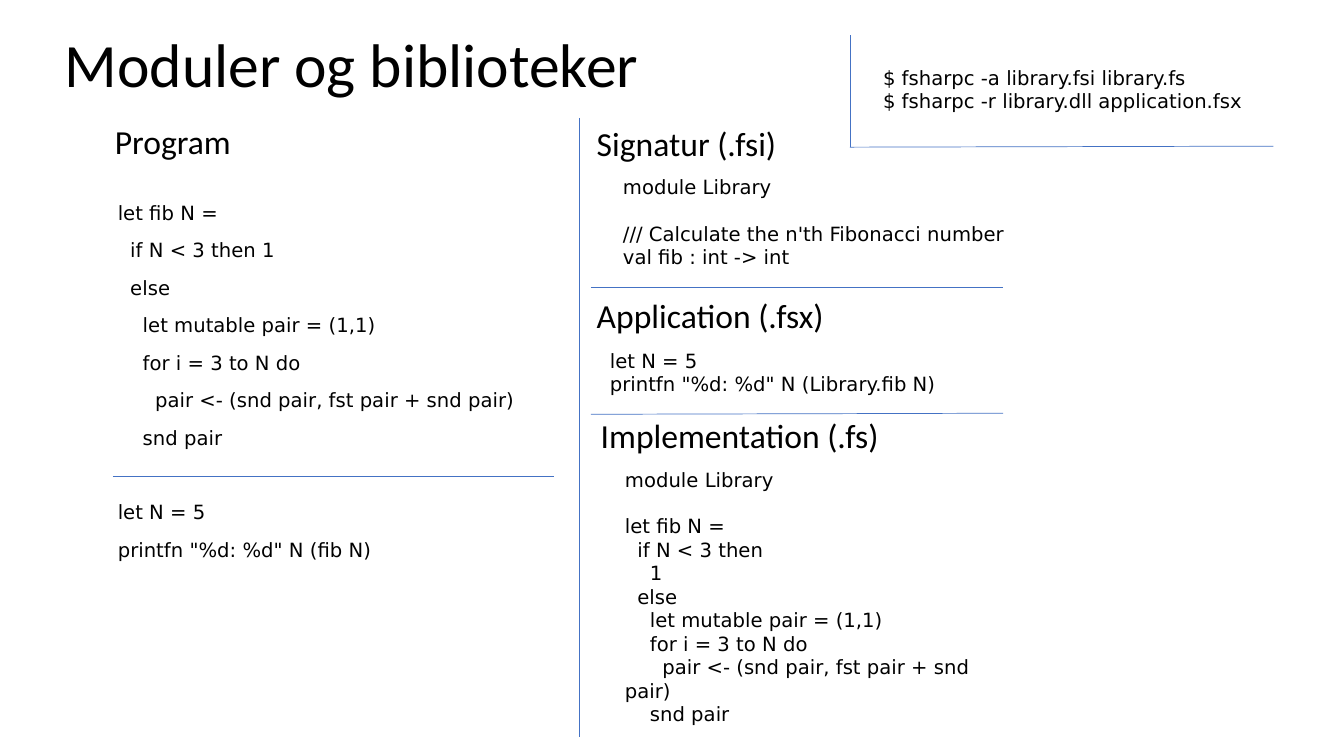
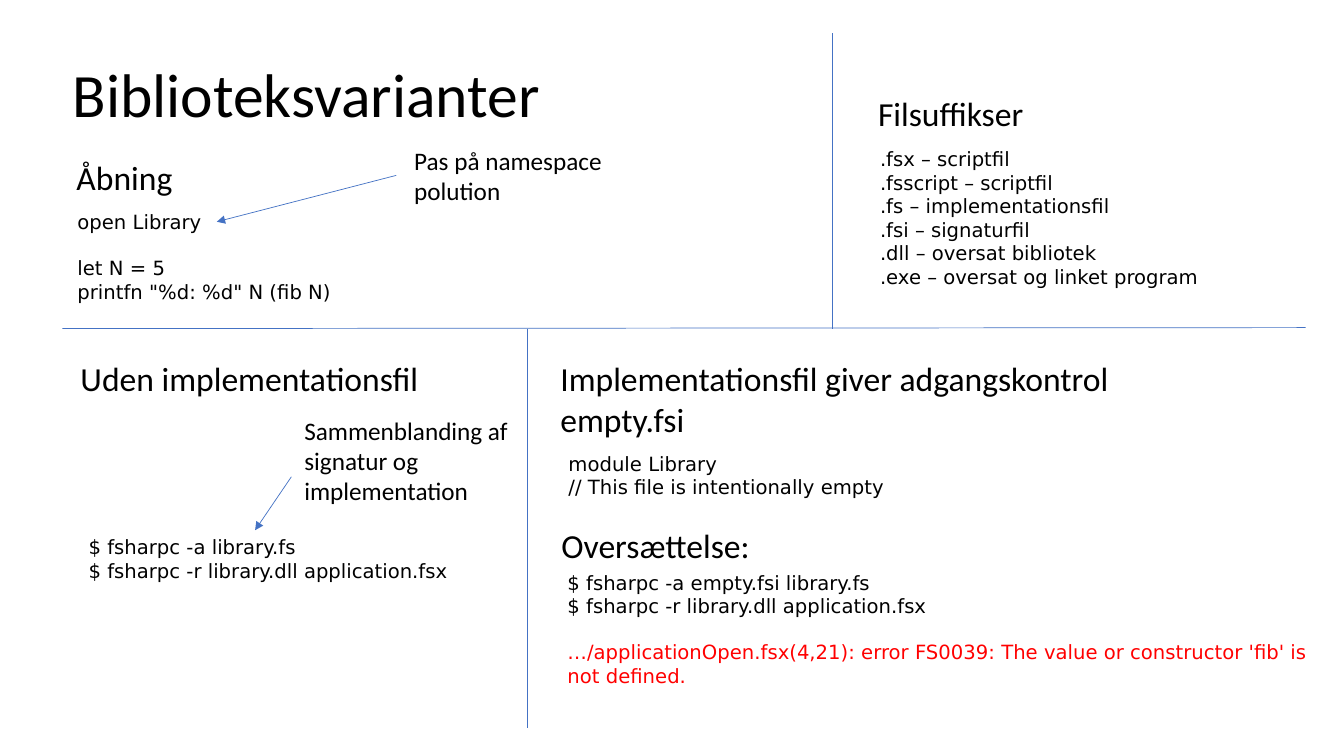
"""Build two slides on F# modules, libraries and their file types."""
from lxml.etree import SubElement
from pptx import Presentation
from pptx.dml.color import RGBColor
from pptx.enum.shapes import MSO_CONNECTOR
from pptx.enum.text import MSO_ANCHOR, MSO_AUTO_SIZE, PP_ALIGN
from pptx.oxml.ns import qn
from pptx.util import Inches, Pt

BLACK = RGBColor(0x00, 0x00, 0x00)
RED = RGBColor(0xFF, 0x00, 0x00)
BLUE = RGBColor(0x44, 0x72, 0xC4)
WIDTH, HEIGHT = 13.33, 7.5
TITLE_HEIGHT = 1.45
CODE_LINE = 16.3
STYLES = {
    "title": ("Calibri", 44, BLACK),
    "heading": ("Calibri", 24, BLACK),
    "note": ("Calibri", 18, BLACK),
    "code": ("DejaVu Sans", 14, BLACK),
    "error": ("DejaVu Sans", 14, RED),
}

PROGRAM_LEFT, PROGRAM_RIGHT = 1.12, 5.49
MODULE_SPLIT, MODULE_LEFT, MODULE_RIGHT = 5.75, 5.86, 9.95
COMMAND_LEFT, COMMAND_BOTTOM = 8.43, 1.46
VARIANT_LEFT, VARIANT_RIGHT, VARIANT_MIDDLE = 0.62, 12.95, 3.26
UPPER_SPLIT, LOWER_SPLIT = 8.26, 5.23

SLIDES = [
    {
        "title": ("Moduler og biblioteker", 0.54, -0.05, 6.31),
        "labels": [
            ("heading", "Program", 1.04, 1.15, 3.88),
            ("heading", "Signatur (.fsi)", 5.82, 1.17, 2.15),
            ("heading", "Application (.fsx)", 5.82, 2.88, 3.15),
            ("heading", "Implementation (.fs)", 5.86, 4.07, 3.15),
        ],
        "listings": [
            (1.07, 1.94, 4.79, 10, [
                ["let fib N =",
                 "  if N < 3 then 1",
                 "  else",
                 "    let mutable pair = (1,1)",
                 "    for i = 3 to N do",
                 "      pair <- (snd pair, fst pair + snd pair)",
                 "    snd pair"],
                ["let N = 5",
                 "printfn \"%d: %d\" N (fib N)"]]),
            (6.08, 1.69, 7.25, 0, [
                ["module Library"],
                ["/// Calculate the n'th Fibonacci number",
                 "val fib : int -> int"]]),
            (5.95, 3.41, 5.38, 0, [
                ["let N = 5",
                 "printfn \"%d: %d\" N (Library.fib N)"]]),
            (6.1, 4.59, 3.81, 0, [
                ["module Library"],
                ["let fib N =",
                 "  if N < 3 then",
                 "    1",
                 "  else",
                 "    let mutable pair = (1,1)",
                 "    for i = 3 to N do",
                 "      pair <- (snd pair, fst pair + snd pair)",
                 "    snd pair"]]),
            (8.66, 0.6, 4.67, 0, [
                ["$ fsharpc -a library.fsi library.fs",
                 "$ fsharpc -r library.dll application.fsx"]]),
        ],
        "rules": [
            (MODULE_SPLIT, 1.17, MODULE_SPLIT, 7.31),
            (MODULE_LEFT, 2.85, MODULE_RIGHT, 2.85),
            (MODULE_LEFT, 4.11, MODULE_RIGHT, 4.1),
            (COMMAND_LEFT, 0.35, COMMAND_LEFT, COMMAND_BOTTOM),
            (COMMAND_LEFT, COMMAND_BOTTOM, 12.63, 1.45),
            (PROGRAM_LEFT, 4.73, PROGRAM_RIGHT, 4.73),
        ],
        "arrows": [],
    },
    {
        "title": ("Biblioteksvarianter", 0.62, 0.24, 11.5),
        "labels": [
            ("heading", "Åbning", 0.66, 1.51, 3.15),
            ("note", "Pas på namespace polution", 4.01, 1.39, 2.28),
            ("heading", "Filsuffikser", 8.61, 0.87, 3.15),
            ("heading", "Uden implementationsfil", 0.7, 3.5, 4.17),
            ("note", "Sammenblanding af signatur og implementation", 2.92, 4.07, 2.28),
            ("heading", "Implementationsfil giver adgangskontrol", 5.46, 3.5, 6.34),
            ("heading", "empty.fsi", 5.46, 3.91, 2.15),
            ("heading", "Oversættelse:", 5.47, 5.16, 2.15),
        ],
        "listings": [
            (0.67, 2.03, 4.77, 0, [
                ["open Library"],
                ["let N = 5",
                 "printfn \"%d: %d\" N (fib N)"]]),
            (8.63, 1.41, 3.6, 0, [
                [".fsx – scriptfil",
                 ".fsscript – scriptfil",
                 ".fs – implementationsfil",
                 ".fsi – signaturfil",
                 ".dll – oversat bibliotek",
                 ".exe – oversat og linket program"]]),
            (0.78, 5.26, 4.79, 0, [
                ["$ fsharpc -a library.fs",
                 "$ fsharpc -r library.dll application.fsx"]]),
            (5.54, 4.43, 5.34, 0, [
                ["module Library",
                 "// This file is intentionally empty"]]),
            (5.53, 5.61, 7.57, 0, [
                ["$ fsharpc -a empty.fsi library.fs",
                 "$ fsharpc -r library.dll application.fsx"],
                ["…/applicationOpen.fsx(4,21): error FS0039: "
                 "The value or constructor 'fib' is not defined."]]),
        ],
        "rules": [
            (VARIANT_LEFT, VARIANT_MIDDLE, VARIANT_RIGHT, 3.25),
            (UPPER_SPLIT, 0.33, UPPER_SPLIT, VARIANT_MIDDLE),
            (LOWER_SPLIT, VARIANT_MIDDLE, LOWER_SPLIT, 7.22),
        ],
        "arrows": [(3.93, 1.74, 2.15, 2.2), (2.89, 4.73, 2.53, 5.26)],
    },
]


def format_paragraph(paragraph, style):
    """Apply a named text style to every run."""
    name, size, color = STYLES[style]
    paragraph.alignment = PP_ALIGN.LEFT
    for run in paragraph.runs:
        run.font.name = name
        run.font.size = Pt(size)
        run.font.color.rgb = color


def add_title(slide, text, left, top, width):
    """Fill and place the title placeholder."""
    title = slide.shapes.title
    title.left, title.top = Inches(left), Inches(top)
    title.width, title.height = Inches(width), Inches(TITLE_HEIGHT)
    text_frame = title.text_frame
    text_frame.text = text
    text_frame.auto_size = MSO_AUTO_SIZE.NONE
    text_frame.vertical_anchor = MSO_ANCHOR.MIDDLE
    paragraph = text_frame.paragraphs[0]
    paragraph.line_spacing = 0.9
    format_paragraph(paragraph, "title")


def add_text_box(slide, text, left, top, width, line_height):
    """Add a wrapping text box high enough for its lines."""
    height = 0.1 + line_height * len(text.split("\n")) / 72
    box = slide.shapes.add_textbox(
        Inches(left), Inches(top), Inches(width), Inches(height))
    box.text_frame.word_wrap = True
    box.text_frame.text = text
    return box.text_frame.paragraphs


def add_label(slide, style, text, left, top, width):
    """Add a heading or a note."""
    line_height = STYLES[style][1] * 1.2
    for paragraph in add_text_box(slide, text, left, top, width, line_height):
        format_paragraph(paragraph, style)


def add_listing(slide, left, top, width, spacing, groups):
    """Add code lines, with one line's gap between groups."""
    lines = [(line, position == 0) for group in groups
             for position, line in enumerate(group)]
    text = "\n".join(line for line, _ in lines)
    paragraphs = add_text_box(slide, text, left, top, width, CODE_LINE + spacing)
    for index, (paragraph, (line, starts_group)) in enumerate(zip(paragraphs, lines)):
        format_paragraph(paragraph, "error" if "error" in line else "code")
        if index:
            gap = CODE_LINE + spacing if starts_group else 0
            paragraph.space_before = Pt(spacing + gap)


def add_line(slide, start_x, start_y, end_x, end_y, arrow=False):
    """Add a thin blue line, with an optional arrowhead at its end."""
    connector = slide.shapes.add_connector(
        MSO_CONNECTOR.STRAIGHT, Inches(start_x), Inches(start_y),
        Inches(end_x), Inches(end_y))
    connector.line.color.rgb = BLUE
    connector.line.width = Pt(0.5)
    if arrow:
        SubElement(connector.line._get_or_add_ln(), qn("a:tailEnd"), type="triangle")
    SubElement(connector._element.spPr, qn("a:effectLst"))


def main():
    """Build and save the presentation."""
    presentation = Presentation()
    presentation.slide_width = Inches(WIDTH)
    presentation.slide_height = Inches(HEIGHT)
    title_only = presentation.slide_layouts[5]
    for content in SLIDES:
        slide = presentation.slides.add_slide(title_only)
        add_title(slide, *content["title"])
        for label in content["labels"]:
            add_label(slide, *label)
        for listing in content["listings"]:
            add_listing(slide, *listing)
        for rule in content["rules"]:
            add_line(slide, *rule)
        for arrow in content["arrows"]:
            add_line(slide, *arrow, arrow=True)
    presentation.save("out.pptx")


if __name__ == "__main__":
    main()
